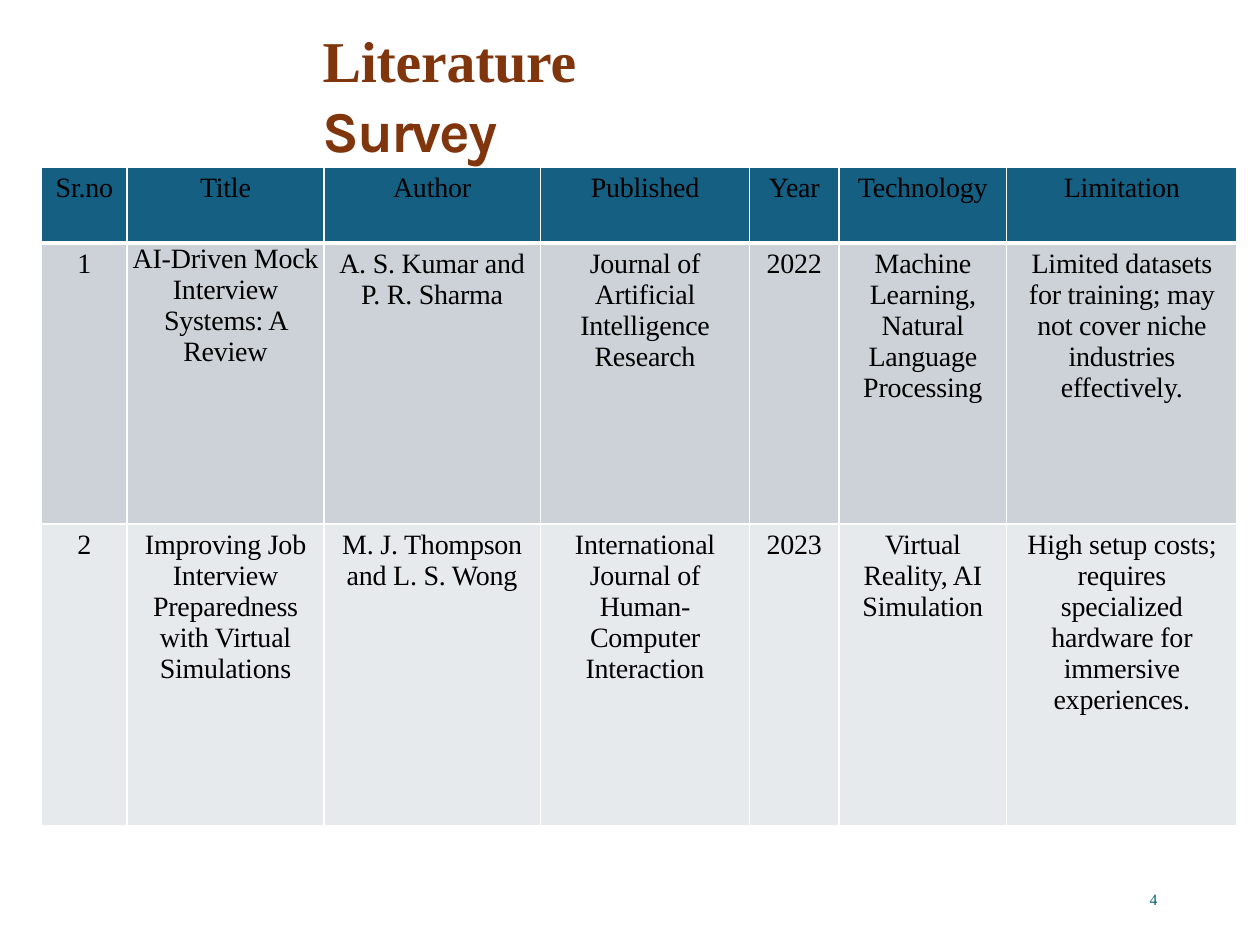
from lxml import etree
from pptx import Presentation
from pptx.dml.color import RGBColor
from pptx.enum.text import PP_ALIGN
from pptx.oxml.ns import qn
from pptx.util import Inches, Pt

LEFT, CENTER = PP_ALIGN.LEFT, PP_ALIGN.CENTER

# Content
HEADING = [("Literature ", "Times New Roman", -0.1), ("Survey", "Karla", -1.2)]
PAGE_NUMBER = "4"
SURVEY = [
    ["Sr.no", "Title", "Author", "Published", "Year", "Technology", "Limitation"],
    ["1", "AI-Driven Mock Interview Systems: A Review",
     "A. S. Kumar and\nP. R. Sharma",
     "Journal of Artificial Intelligence Research", "2022",
     "Machine Learning, Natural Language Processing",
     "Limited datasets for training; may not cover niche industries effectively."],
    ["2", "Improving Job Interview Preparedness with Virtual Simulations",
     "M. J. Thompson and L. S. Wong",
     "International Journal of Human- Computer Interaction", "2023",
     "Virtual Reality, AI Simulation",
     "High setup costs; requires specialized hardware for immersive experiences."],
]

THEME = {
    "serif": "Times New Roman",
    "heading": "80350D", "number": "045C75", "text": "000000", "border": "FFFFFF",
    "row_fills": ["155F82", "CCD2D7", "E7EAEC"],
    "heading_size": 33, "cell_size": 16, "number_size": 9,
}

# Grid, in inches
COLUMN_WIDTHS = [0.68, 1.56, 1.72, 1.66, 0.71, 1.33, 1.83]
COLUMN_PADS = [0, 0.1, 0.1, 0.2, 0, 0.1, 0.12]
ROW_HEIGHTS = [0.6, 2.23, 2.39]
CELL_TOP = 0.04
TIGHT_CELL = (1, 1)  # the long first title fills its column
TIGHT_PAD = 0.03
THIN, THICK = 1, 3


def add_text(paragraph, text, *, size, color, font=THEME["serif"], bold=False,
             spacing=-0.1, align=LEFT):
    paragraph.alignment = align
    run = paragraph.add_run()
    run.text = text
    run.font.size = Pt(size)
    run.font.name = font
    run.font.bold = bold
    run.font.color.rgb = RGBColor.from_string(color)
    run.font._element.set("spc", str(round(spacing * 100)))


def add_box(slide, left, top, width, height, right_inset=0):
    frame = slide.shapes.add_textbox(*map(Inches, (left, top, width, height))).text_frame
    frame.word_wrap = True
    frame.margin_left = frame.margin_top = frame.margin_bottom = 0
    frame.margin_right = Inches(right_inset)
    return frame.paragraphs[0]


def set_borders(cell, top, bottom):
    properties = cell._tc.get_or_add_tcPr()
    widths = {"lnL": THIN, "lnR": THIN, "lnT": top, "lnB": bottom}
    for position, (side, width) in enumerate(widths.items()):
        line = etree.Element(qn(f"a:{side}"), w=str(Pt(width)))
        fill = etree.SubElement(line, qn("a:solidFill"))
        etree.SubElement(fill, qn("a:srgbClr"), val=THEME["border"])
        properties.insert(position, line)


def fill_cell(cell, row, column):
    tight = (row, column) == TIGHT_CELL
    pad = TIGHT_PAD if tight else COLUMN_PADS[column]
    cell.margin_left = cell.margin_right = Inches(pad)
    cell.margin_top = Inches(0 if tight else CELL_TOP)
    cell.margin_bottom = 0
    cell.fill.solid()
    cell.fill.fore_color.rgb = RGBColor.from_string(THEME["row_fills"][row])
    set_borders(cell, THICK if row == 1 else THIN, THICK if row == 0 else THIN)
    frame = cell.text_frame
    for index, line in enumerate(SURVEY[row][column].split("\n")):
        paragraph = frame.add_paragraph() if index else frame.paragraphs[0]
        add_text(paragraph, line, size=THEME["cell_size"], color=THEME["text"],
                 align=CENTER)


def main():
    deck = Presentation()
    deck.slide_width, deck.slide_height = Inches(10), Inches(7.5)
    slide = deck.slides.add_slide(deck.slide_layouts[6])

    # Heading, wrapped after its first word
    heading = add_box(slide, 2.56, 0.2, 3.48, 0.58, right_inset=0.3)
    for word, font, spacing in HEADING:
        add_text(heading, word, size=THEME["heading_size"], color=THEME["heading"],
                 font=font, bold=True, spacing=spacing)

    # Survey table
    table = slide.shapes.add_table(
        len(ROW_HEIGHTS), len(COLUMN_WIDTHS), Inches(0.33), Inches(1.33),
        Inches(sum(COLUMN_WIDTHS)), Inches(sum(ROW_HEIGHTS))).table
    for column, width in zip(table.columns, COLUMN_WIDTHS):
        column.width = Inches(width)
    for row, height in enumerate(ROW_HEIGHTS):
        table.rows[row].height = Inches(height)
        for column in range(len(COLUMN_WIDTHS)):
            fill_cell(table.cell(row, column), row, column)

    # Page number
    number = add_box(slide, 9.04, 7.06, 0.23, 0.18)
    add_text(number, PAGE_NUMBER, size=THEME["number_size"], color=THEME["number"],
             align=CENTER)

    deck.save("out.pptx")


if __name__ == "__main__":
    main()
